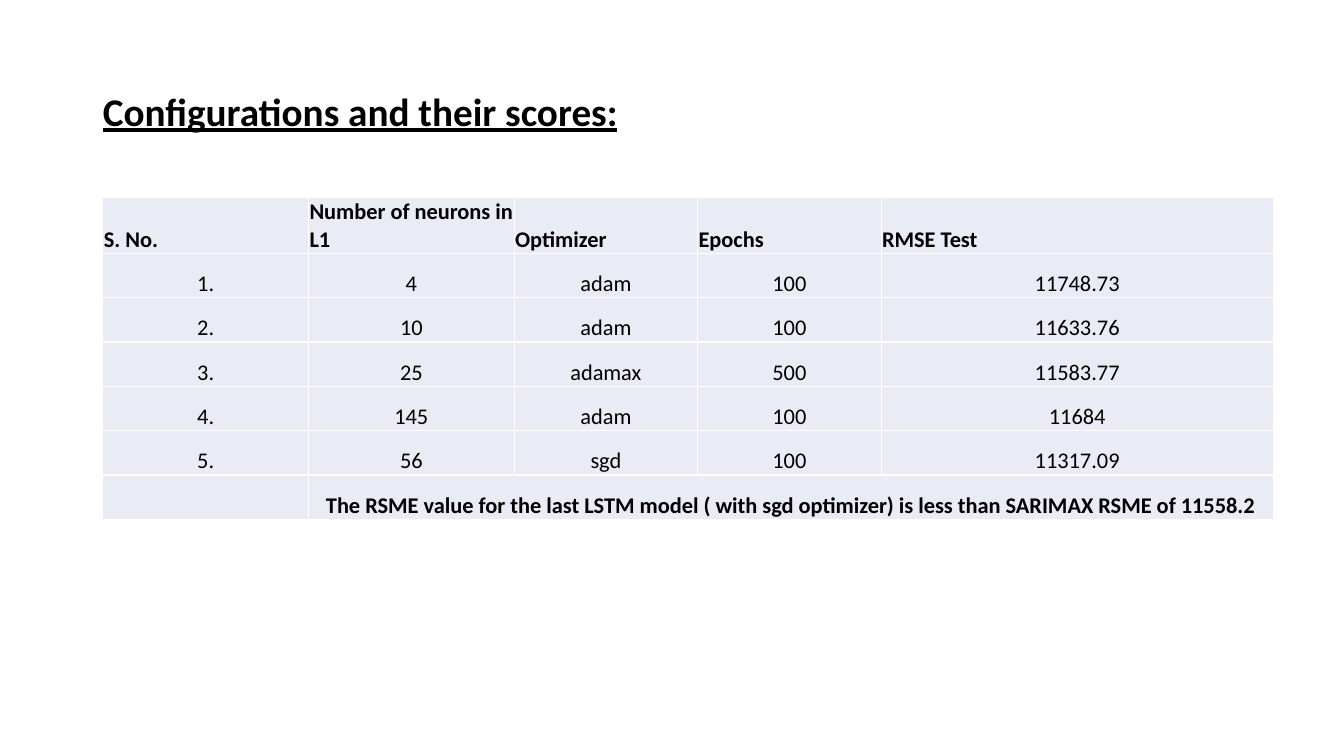
from dataclasses import dataclass
from lxml.etree import SubElement
from pptx import Presentation
from pptx.dml.color import RGBColor as RGB
from pptx.enum.text import MSO_ANCHOR as Anchor, PP_ALIGN as Align
from pptx.oxml.ns import qn
from pptx.util import Inches, Pt


@dataclass(frozen=True)
class Theme:
    """Colours, font and type sizes of the slide."""
    ink: str = "000000"
    cell: str = "E9EBF5"
    rule: str = "FFFFFF"
    font: str = "Calibri"
    head: int = 28
    body: int = 16


THEME = Theme()
WIDTHS = [2.04, 2.04, 1.82, 1.82, 3.89]
ROW = 0.44
HEADS = ["S. No.", "Number of neurons in L1", "Optimizer", "Epochs", "RMSE Test"]
SCORES = [
    ["1.", "4", "adam", "100", "11748.73"],
    ["2.", "10", "adam", "100", "11633.76"],
    ["3.", "25", "adamax", "500", "11583.77"],
    ["4.", "145", "adam", "100", "11684"],
    ["5.", "56", "sgd", "100", "11317.09"],
]
NOTE = ("The RSME value for the last LSTM model ( with sgd optimizer) "
        "is less than SARIMAX RSME of 11558.2")


def write(frame, text, size=THEME.body, bold=False, line=False,
          align=Align.LEFT, space=None):
    """Put formatted text in the first paragraph of a text frame."""
    para = frame.paragraphs[0]
    para.alignment = align
    para.line_spacing = space
    run = para.add_run()
    run.text = text
    font = run.font
    font.name, font.size = THEME.font, Pt(size)
    font.bold, font.underline = bold, line
    font.color.rgb = RGB.from_string(THEME.ink)


def style(cell):
    """Give a cell its rules, fill, margins and anchor."""
    props = cell._tc.get_or_add_tcPr()
    for side in ("L", "R", "T", "B"):
        edge = SubElement(props, qn(f"a:ln{side}"), w=str(Pt(1)))
        fill = SubElement(edge, qn("a:solidFill"))
        SubElement(fill, qn("a:srgbClr"), val=THEME.rule)
    cell.fill.solid()
    cell.fill.fore_color.rgb = RGB.from_string(THEME.cell)
    cell.margin_left = cell.margin_right = cell.margin_top = Inches(0.01)
    cell.margin_bottom = 0
    cell.vertical_anchor = Anchor.BOTTOM


def add_title(slide, text):
    """Place and fill the title placeholder."""
    title = slide.shapes.title
    title.left, title.top = Inches(0.92), Inches(0.4)
    title.width, title.height = Inches(11.5), Inches(1.45)
    frame = title.text_frame
    frame.word_wrap = True
    frame.vertical_anchor = Anchor.MIDDLE
    write(frame, text, size=THEME.head, bold=True, line=True, space=0.9)


def add_scores(slide):
    """Build the table of scores with its closing note."""
    count = len(SCORES) + 2
    table = slide.shapes.add_table(
        count, len(WIDTHS), Inches(1.02), Inches(1.96),
        Inches(sum(WIDTHS)), Inches(ROW * count)).table
    table.first_row = table.horz_banding = False
    for col, width in zip(table.columns, WIDTHS):
        col.width = Inches(width)
    for row in table.rows:
        row.height = Inches(ROW)
    for cell in table.iter_cells():
        style(cell)
    for r, row in enumerate([HEADS, *SCORES]):
        align = Align.CENTER if r else Align.LEFT
        for c, text in enumerate(row):
            write(table.cell(r, c).text_frame, text, bold=r == 0, align=align)
    last = count - 1
    note = table.cell(last, 1)
    note.merge(table.cell(last, len(WIDTHS) - 1))
    write(note.text_frame, NOTE, bold=True, align=Align.CENTER)


def main():
    """Build and save the slide."""
    deck = Presentation()
    deck.slide_width, deck.slide_height = Inches(13.33), Inches(7.5)
    slide = deck.slides.add_slide(deck.slide_layouts[5])
    add_title(slide, "Configurations and their scores:")
    add_scores(slide)
    deck.save("out.pptx")


main()
